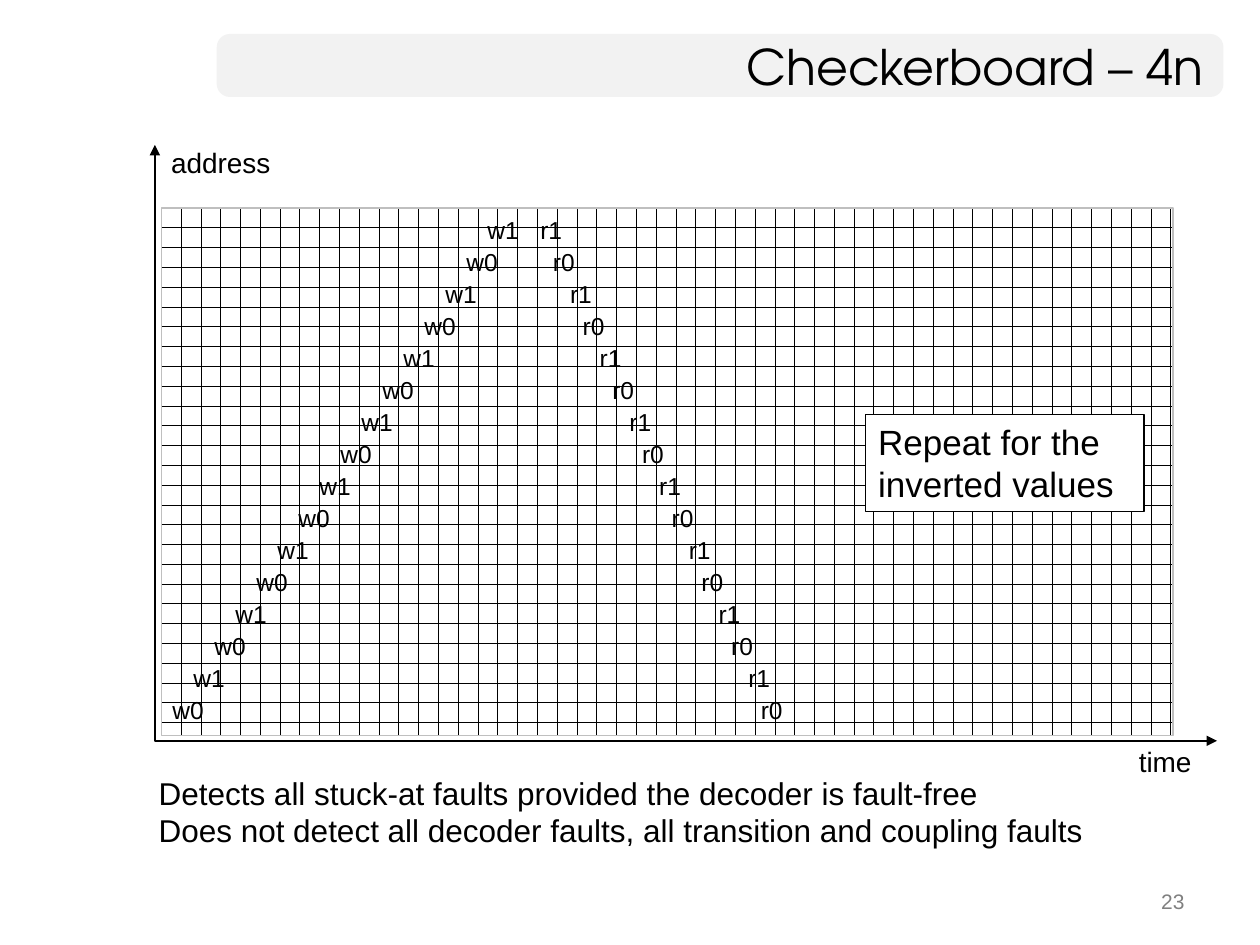
import pptx
import pptx.dml.color
import pptx.enum.dml
import pptx.enum.shapes
import pptx.enum.text
import pptx.oxml
import pptx.oxml.ns
import pptx.util

Inches = pptx.util.Inches
Pt = pptx.util.Pt
RGBColor = pptx.dml.color.RGBColor
Align = pptx.enum.text.PP_ALIGN
Anchor = pptx.enum.text.MSO_ANCHOR
AutoSize = pptx.enum.text.MSO_AUTO_SIZE
Preset = pptx.enum.shapes.MSO_SHAPE

BLACK = RGBColor(0x00, 0x00, 0x00)
WHITE = RGBColor(0xFF, 0xFF, 0xFF)
BAND = RGBColor(0xF2, 0xF2, 0xF2)
GRID_EDGE = RGBColor(0xBF, 0xBF, 0xBF)
PAGE_GREY = RGBColor(0x80, 0x80, 0x80)


def apply_formats(target, formats):
    for name, value in formats.items():
        setattr(target, name, value)


class SlideBuilder:
    body_font = "Arial"
    title_font = "TeX Gyre Adventor"

    def __init__(self, slide):
        self.slide = slide

    def set_text(self, shape, lines, size, color=BLACK, font=None,
                 align=Align.LEFT, **frame_formats):
        """Fill a shape with one paragraph per line."""
        frame = shape.text_frame
        apply_formats(frame, {"word_wrap": True,
                              "vertical_anchor": Anchor.TOP,
                              **frame_formats})
        frame.text = "\n".join(lines)
        for paragraph in frame.paragraphs:
            paragraph.alignment = align
            apply_formats(paragraph.font, {"name": font or self.body_font,
                                           "size": Pt(size)})
            paragraph.font.color.rgb = color

    def text(self, box, lines, size, parent=None, **formats):
        shapes = (parent or self.slide).shapes
        shape = shapes.add_textbox(*map(Inches, box))
        self.set_text(shape, lines, size, **formats)

    def label(self, box, lines, size, parent=None):
        """Text that keeps its lines and sizes its box to fit."""
        self.text(box, lines, size, parent, word_wrap=False,
                  auto_size=AutoSize.SHAPE_TO_FIT_TEXT)

    def panel(self, box, fill=None, line=None, preset=Preset.RECTANGLE):
        shape = self.slide.shapes.add_shape(preset, *map(Inches, box))
        shape.shadow.inherit = False
        if fill is not None:
            shape.fill.solid()
            shape.fill.fore_color.rgb = fill
        if line is None:
            shape.line.fill.background()
        else:
            shape.line.color.rgb = line
            shape.line.width = Pt(0.75)
        return shape

    def dotted_grid(self, box):
        grid = self.panel(box, line=GRID_EDGE)
        grid.fill.patterned()
        grid.fill.pattern = pptx.enum.dml.MSO_PATTERN.DOTTED_GRID
        grid.fill.fore_color.rgb = BLACK
        grid.fill.back_color.rgb = WHITE

    def axes(self, points):
        """Open line with an arrowhead at both ends."""
        start, *rest = [(Inches(x), Inches(y)) for x, y in points]
        outline = self.slide.shapes.build_freeform(*start)
        outline.add_line_segments(rest, close=False)
        axis = outline.convert_to_shape()
        axis.shadow.inherit = False
        axis.fill.background()
        axis.line.color.rgb = BLACK
        axis.line.width = Pt(1.5)
        stroke = axis.element.spPr.find(pptx.oxml.ns.qn("a:ln"))
        namespace = pptx.oxml.ns.nsdecls("a")
        for end in ("headEnd", "tailEnd"):
            stroke.append(pptx.oxml.parse_xml(
                f'<a:{end} {namespace} type="triangle"/>'))


def main():
    deck = pptx.Presentation()
    deck.slide_width, deck.slide_height = Inches(10), Inches(7.5)
    builder = SlideBuilder(deck.slides.add_slide(deck.slide_layouts[6]))

    # Title band and page number
    band = builder.panel((1.72, 0.27, 7.99, 0.5), BAND,
                         preset=Preset.ROUNDED_RECTANGLE)
    band.adjustments[0] = 0.21
    builder.text((7.17, 7, 2.33, 0.35), ["23"], 12, color=PAGE_GREY,
                 align=Align.RIGHT)
    builder.text((1.72, 0.27, 7.93, 0.5), ["Checkerboard – 4n"], 28,
                 font=builder.title_font, align=Align.RIGHT,
                 vertical_anchor=Anchor.MIDDLE)

    # Axes and grid
    builder.axes([(1.23, 1.15), (1.23, 5.88), (9.66, 5.88)])
    builder.label((1.26, 1.11, 1, 0.37), ["address"], 16)
    builder.label((8.94, 5.86, 0.63, 0.37), ["time"], 16)
    builder.dotted_grid((1.28, 1.65, 8.03, 4.19))

    # Remarks
    repeat_note = builder.panel((6.87, 3.29, 2.21, 0.77), WHITE, BLACK)
    builder.set_text(repeat_note, ["Repeat for the inverted values"], 20,
                     auto_size=AutoSize.SHAPE_TO_FIT_TEXT)
    builder.label((1.16, 6.09, 7.61, 0.71), [
        "Detects all stuck-at faults provided the decoder is fault-free",
        "Does not detect all decoder faults, all transition and coupling faults",
    ], 18)

    # Alternating writes go up the addresses, reads come back down
    cells = 16
    top, bottom = 1.66, 5.47
    row_step = (bottom - top) / (cells - 1)
    write_step = (3.77 - 1.27) / (cells - 1)
    read_pair_step = (5.84 - 4.19) / (cells / 2 - 1)
    writes = builder.slide.shapes.add_group_shape()
    reads = builder.slide.shapes.add_group_shape()
    for cell in range(cells):
        builder.label((1.27 + cell * write_step, bottom - cell * row_step,
                       0.46, 0.33), [f"w{cell % 2}"], 14, writes)
        pair, second = divmod(cell, 2)
        builder.label((4.19 + pair * read_pair_step + second * 0.1,
                       top + cell * row_step, 0.39, 0.33),
                      [f"r{1 - second}"], 14, reads)

    deck.save("out.pptx")


if __name__ == "__main__":
    main()
